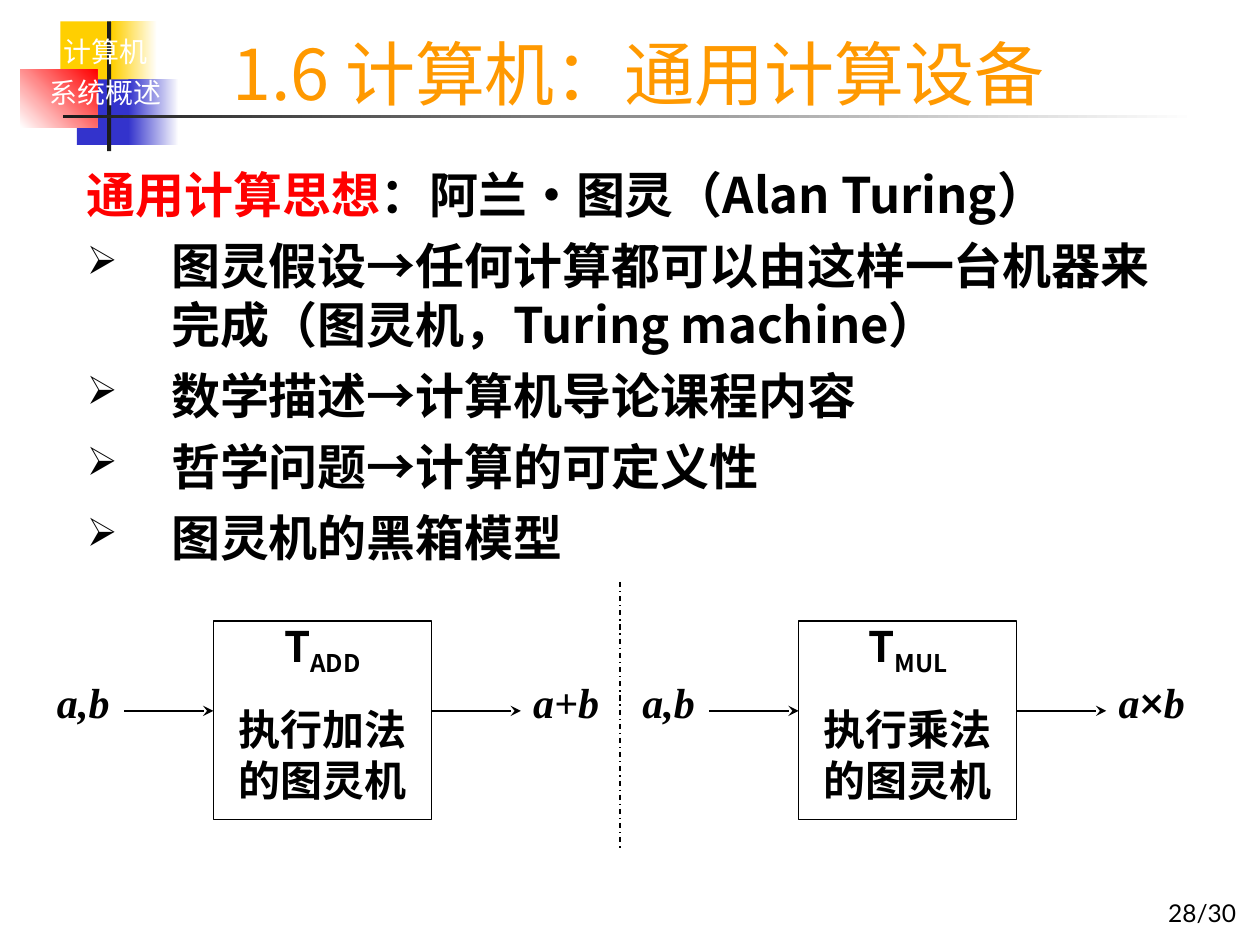
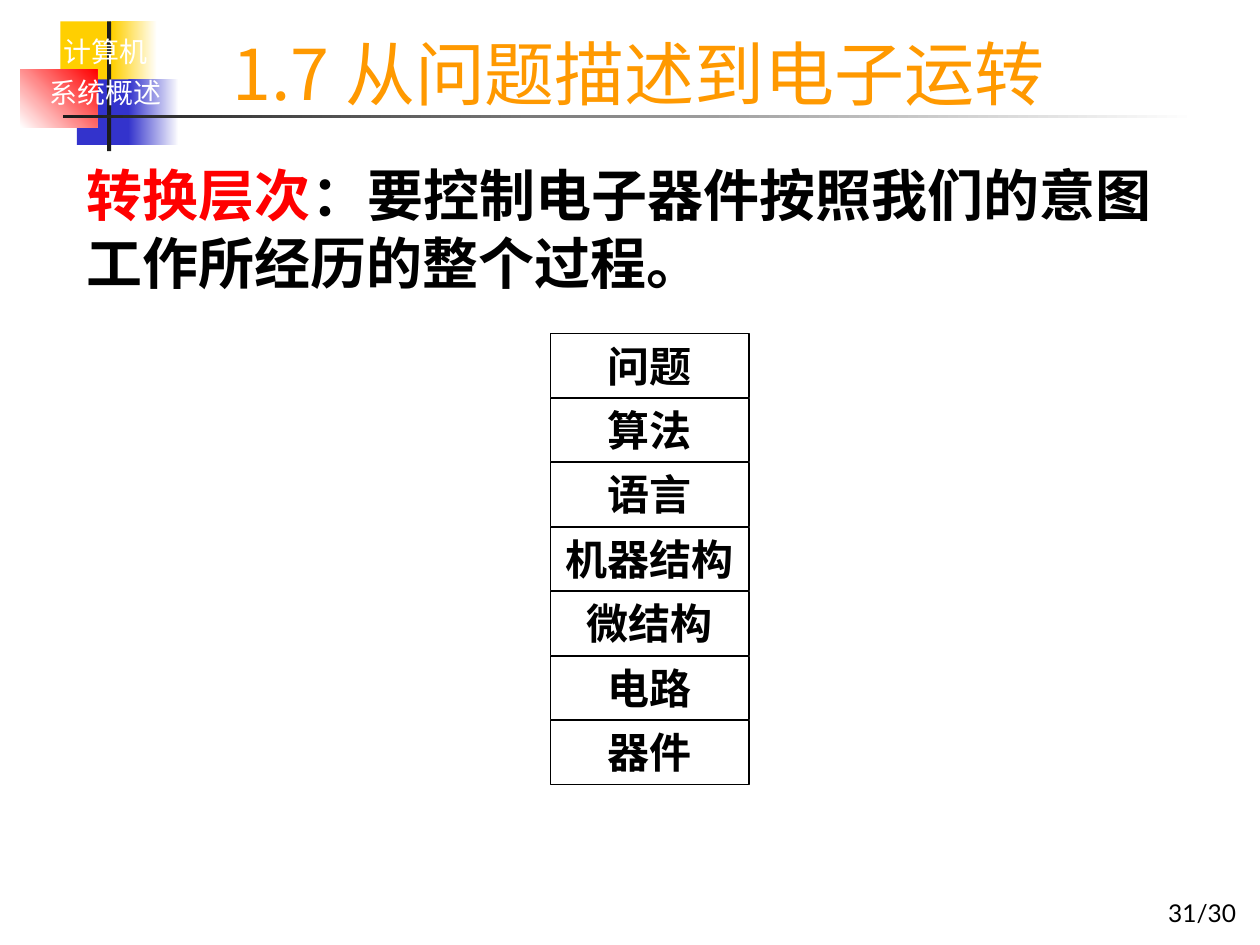
from lxml import etree
from pptx import Presentation
from pptx import util as u
from pptx.dml.color import RGBColor
from pptx.enum import dml, shapes, text
from pptx.oxml import ns

Cm, Pt = u.Cm, u.Pt

# Colours and fonts
BLACK = RGBColor(0x00, 0x00, 0x00)
WHITE = RGBColor(0xFF, 0xFF, 0xFF)
RED = RGBColor(0xFF, 0x00, 0x00)
ORANGE = RGBColor(0xFF, 0x99, 0x00)
YELLOW = RGBColor(0xFF, 0xCF, 0x01)
BLUE = RGBColor(0x33, 0x33, 0xCC)
CHARCOAL = RGBColor(0x1C, 0x1C, 0x1C)
LATO, SANS, TITLE_FONT, SERIF = (
    "Lato", "Noto Sans CJK SC", "Noto Sans CJK JP", "Times New Roman")
LEFT, CENTER, RIGHT = (
    text.PP_ALIGN.LEFT, text.PP_ALIGN.CENTER, text.PP_ALIGN.RIGHT)

# Content
CHAPTER = ["计算机", "系统概述"]
TURING = {
    "title": "1.6 计算机：通用计算设备",
    "page": "28/30",
    "lead": ("通用计算思想", "：阿兰·图灵（Alan Turing）"),
    "points": [
        "图灵假设→任何计算都可以由这样一台机器来完成（图灵机，Turing machine）",
        "数学描述→计算机导论课程内容",
        "哲学问题→计算的可定义性",
        "图灵机的黑箱模型",
    ],
    "machines": [
        ("ADD", "执行加法的图灵机", "a,b", ("a+b",)),
        ("MUL", "执行乘法的图灵机", "a,b", ("a", "×", "b")),
    ],
}
LEVELS = {
    "title": "1.7 从问题描述到电子运转",
    "page": "31/30",
    "lead": ("转换层次", "：要控制电子器件按照我们的意图工作所经历的整个过程。"),
    "layers": ["问题", "算法", "语言", "机器结构", "微结构", "电路", "器件"],
}

# Emblem and rule: left, top, width, height (cm), colours from start to end, angle
EMBLEM = [
    (1.22, 0.43, 1.22, 1.32, (YELLOW,), 0),
    (2.26, 0.43, 0.91, 1.32, (YELLOW, WHITE), 0),
    (1.55, 1.6, 1.17, 1.32, (BLUE,), 0),
    (2.59, 1.6, 1.02, 1.32, (BLUE, WHITE), 0),
    (0.41, 1.4, 1.55, 1.17, (WHITE, RED), 45),
    (2.16, 0.43, 0.08, 2.62, (CHARCOAL,), 0),
    (1.27, 2.31, 22.86, 0.08, (CHARCOAL, WHITE), 0),
]


def style_run(run, size, font, colour, bold=False, italic=False, baseline=0):
    run.font.size, run.font.bold, run.font.italic = Pt(size), bold, italic
    run.font.color.rgb = colour
    run.font.name = font
    properties = run._r.get_or_add_rPr()
    etree.SubElement(properties, ns.qn("a:ea")).set("typeface", font)
    if baseline:
        properties.set("baseline", str(baseline * 1000))


def write(frame, paragraphs, align=LEFT, before=0, spacing=None):
    """Each paragraph is a list of (text, style keywords) pairs."""
    frame.word_wrap = True
    for i, parts in enumerate(paragraphs):
        line = frame.add_paragraph() if i else frame.paragraphs[0]
        line.alignment = align
        if i:
            line.space_before = Pt(before)
        if spacing:
            line.line_spacing = Pt(spacing)
        for words, style in parts:
            run = line.add_run()
            run.text = words
            style_run(run, **style)


def add_text(slide, box, paragraphs, **layout):
    frame = slide.shapes.add_textbox(*map(Cm, box)).text_frame
    write(frame, paragraphs, **layout)
    return frame


def add_box(slide, box):
    rect = slide.shapes.add_shape(shapes.MSO_SHAPE.RECTANGLE, *map(Cm, box))
    rect.shadow.inherit = False
    rect.fill.background()
    rect.line.color.rgb, rect.line.width = BLACK, Pt(0.75)
    rect.text_frame.vertical_anchor = text.MSO_ANCHOR.TOP
    return rect


def add_line(slide, x1, y1, x2, y2, arrow=False):
    line = slide.shapes.add_connector(
        shapes.MSO_CONNECTOR.STRAIGHT, *map(Cm, (x1, y1, x2, y2)))
    line.line.color.rgb, line.line.width = BLACK, Pt(0.75)
    if arrow:
        etree.SubElement(line.line._get_or_add_ln(), ns.qn("a:tailEnd")).set("type", "stealth")
    etree.SubElement(line.element.spPr, ns.qn("a:effectLst"))
    return line


def add_emblem(slide):
    for *box, colours, angle in EMBLEM:
        band = add_box(slide, box)
        band.line.fill.background()
        if len(colours) == 1:
            band.fill.solid()
            band.fill.fore_color.rgb = colours[0]
        else:
            band.fill.gradient()
            band.fill.gradient_angle = angle
            for stop, colour in zip(band.fill.gradient_stops, colours):
                stop.color.rgb = colour
    label = dict(size=16, font=LATO, colour=WHITE)
    add_text(slide, (0.64, 0.58, 2.97, 1.75), [[(name, label)] for name in CHAPTER],
             align=CENTER, before=4)


def add_slide(deck, content):
    slide = deck.slides.add_slide(deck.slide_layouts[5])
    add_emblem(slide)
    title = slide.shapes.title
    title.left, title.top, title.width, title.height = map(Cm, (3.84, 0.2, 18.06, 2.11))
    title.text_frame.vertical_anchor = text.MSO_ANCHOR.BOTTOM
    title.text_frame.margin_bottom = 0
    write(title.text_frame,
          [[(content["title"], dict(size=40, font=TITLE_FONT, colour=ORANGE))]], align=CENTER)
    page = add_text(slide, (22.1, 17.98, 3.07, 0.84),
                    [[(content["page"], dict(size=14, font=LATO, colour=BLACK))]], align=RIGHT)
    page.vertical_anchor = text.MSO_ANCHOR.BOTTOM
    return slide


def lead_parts(content, **style):
    return [(words, dict(style, colour=colour, bold=True))
            for words, colour in zip(content["lead"], (RED, BLACK))]


def hang(paragraph, bullet):
    properties = paragraph._p.get_or_add_pPr()
    properties.set("marL", str(Cm(1.7)))
    properties.set("indent", str(-Cm(1.7)))
    if bullet:
        colour = etree.SubElement(properties, ns.qn("a:buClr"))
        etree.SubElement(colour, ns.qn("a:srgbClr")).set("val", str(BLACK))
        etree.SubElement(properties, ns.qn("a:buSzPct")).set("val", "80000")
        etree.SubElement(properties, ns.qn("a:buChar")).set("char", bullet)


def add_machine(slide, left, name, task, given, result):
    top, width, height, arrow_y, reach = 12.52, 4.4, 4, 14.33, 1.8
    label_top, label_width, label_height = 13.51, 2.41, 1.27
    bold = dict(size=24, font=SANS, colour=BLACK, bold=True)
    maths = dict(bold, font=SERIF, italic=True)
    box = add_box(slide, (left, top, width, height))
    write(box.text_frame,
          [[("T", bold), (name, dict(bold, baseline=-25))], [(task, bold)]],
          align=CENTER, before=15, spacing=28.8)
    right = left + width
    add_line(slide, left - reach, arrow_y, left, arrow_y, arrow=True)
    add_line(slide, right, arrow_y, right + reach, arrow_y, arrow=True)
    add_text(slide, (left - 3.4, label_top, label_width, label_height), [[(given, maths)]])
    add_text(slide, (right + reach, label_top, label_width, label_height),
             [[(part, dict(bold, font=LATO) if part == "×" else maths) for part in result]])


def build_turing(deck):
    slide = add_slide(deck, TURING)
    body = dict(size=28, font=SANS)
    point = dict(body, colour=BLACK, bold=True)
    frame = add_text(slide, (1.5, 3.2, 22.4, 8.6),
                     [lead_parts(TURING, **body)] + [[(p, point)] for p in TURING["points"]],
                     before=7, spacing=33.6)
    for i, paragraph in enumerate(frame.paragraphs):
        hang(paragraph, "➢" if i else None)
    # Two black-box machines with a divider between them
    for i, machine in enumerate(TURING["machines"]):
        add_machine(slide, 4.3 + 11.8 * i, *machine)
    add_line(slide, 12.5, 11.73, 12.5, 17.12).line.dash_style = dml.MSO_LINE.DASH_DOT


def build_levels(deck):
    slide = add_slide(deck, LEVELS)
    add_text(slide, (1.5, 3.12, 22.4, 3.4), [lead_parts(LEVELS, size=32, font=LATO)])
    # Stack of layers
    for i, layer in enumerate(LEVELS["layers"]):
        box = add_box(slide, (11.1, 6.73 + 1.3 * i, 4, 1.28))
        write(box.text_frame,
              [[(layer, dict(size=24, font=LATO, colour=BLACK, bold=True))]], align=CENTER)


def main():
    deck = Presentation()
    deck.slide_width, deck.slide_height = Cm(25.4), Cm(19.05)
    build_turing(deck)
    build_levels(deck)
    deck.save("out.pptx")


if __name__ == "__main__":
    main()
